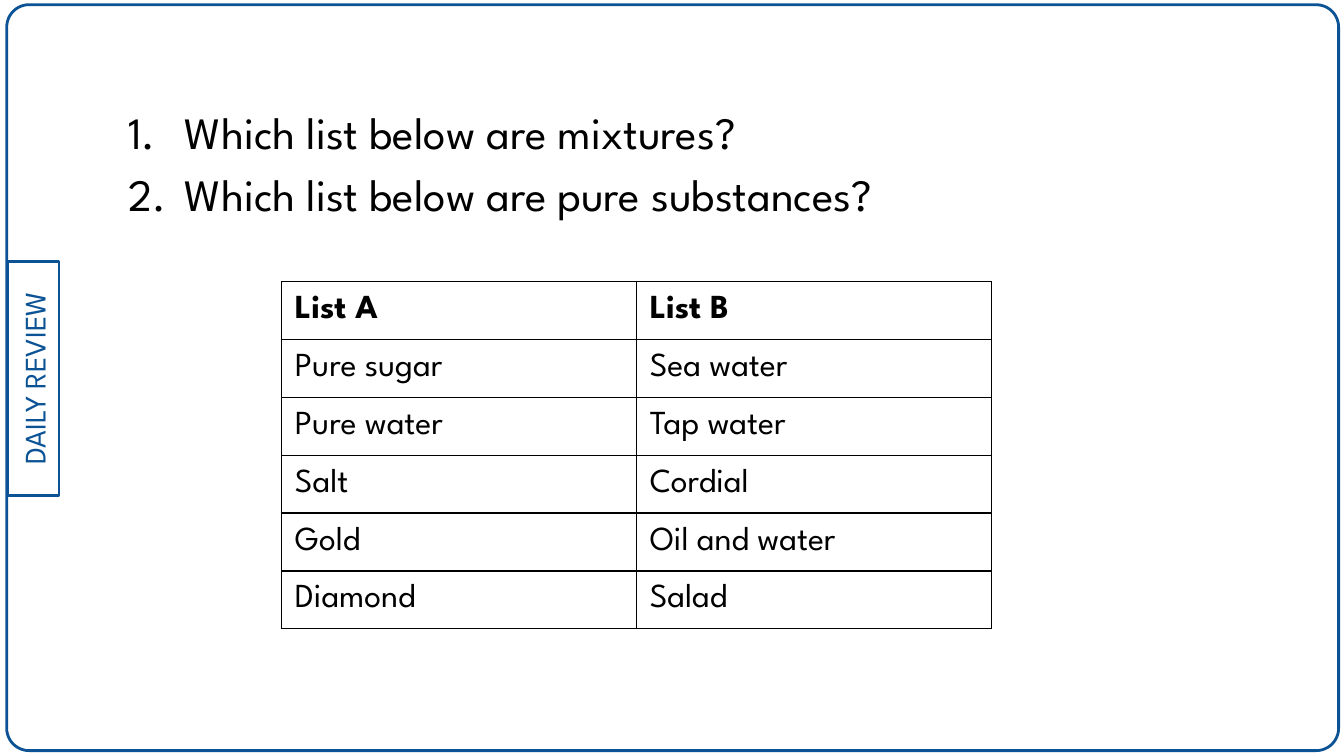
"""Build a daily review slide with two questions and a table of substances."""
from lxml import etree
from pptx import Presentation
from pptx.dml.color import RGBColor
from pptx.enum import shapes, text
from pptx.oxml import ns
from pptx.util import Pt

SCALE = 4572
BLUE, BLACK = "0B5394", "000000"


def px(n):
    return n * SCALE


def rgb(code):
    return RGBColor.from_string(code)


def node(parent, tag, **attrs):
    return etree.SubElement(parent, ns.qn(tag), attrs)


def write(para, words, size=18, color=BLACK, bold=False, align=None, gap=None):
    para.text = words
    para.alignment = align
    para.line_spacing = gap
    font = para.font
    font.name, font.size, font.bold = "League Spartan", Pt(size), bold
    font.color.rgb = rgb(color)


def pad(frame):
    frame.margin_left = frame.margin_right = px(20)
    frame.margin_top = frame.margin_bottom = px(20)


class Deck:
    def __init__(self, wide, high):
        self.prs = Presentation()
        self.prs.slide_width, self.prs.slide_height = px(wide), px(high)
        self.slide = self.prs.slides.add_slide(self.prs.slide_layouts[1])
        title = self.slide.shapes.title.element
        title.getparent().remove(title)

    def box(self, kind, *at):
        shape = self.slide.shapes.add_shape(kind, *map(px, at))
        shape.shadow.inherit = False
        shape.fill.background()
        shape.line.color.rgb = rgb(BLUE)
        shape.line.width = Pt(1.5)
        return shape

    def frame(self, *at):
        shape = self.box(shapes.MSO_SHAPE.ROUNDED_RECTANGLE, *at)
        shape.adjustments[0] = 0.03

    def tab(self, words, *at):
        shape = self.box(shapes.MSO_SHAPE.RECTANGLE, *at)
        shape.rotation = 270
        frame = shape.text_frame
        pad(frame)
        frame.vertical_anchor = text.MSO_ANCHOR.MIDDLE
        write(frame.paragraphs[0], words, size=16, color=BLUE, align=text.PP_ALIGN.CENTER)

    def quiz(self, items, *at):
        body = self.slide.placeholders[1]
        body.left, body.top, body.width, body.height = map(px, at)
        frame = body.text_frame
        pad(frame)
        frame.word_wrap = True
        frame.auto_size = text.MSO_AUTO_SIZE.NONE
        frame.vertical_anchor = text.MSO_ANCHOR.TOP
        for i, item in enumerate(items):
            para = frame.paragraphs[0] if i == 0 else frame.add_paragraph()
            para.space_before = Pt(0)
            props = para._p.get_or_add_pPr()
            props.set("marL", str(px(100)))
            props.set("indent", str(px(-84)))
            node(node(props, "a:buClr"), "a:srgbClr", val=BLACK)
            node(props, "a:buFont", typeface="League Spartan")
            node(props, "a:buAutoNum", type="arabicPeriod")
            write(para, item, size=24, gap=1.15)

    def grid(self, rows, left, top, wide, high):
        size = len(rows), len(rows[0])
        table = self.slide.shapes.add_table(
            *size, px(left), px(top), px(wide * size[1]), px(high * size[0])).table
        table.first_row = table.horz_banding = False
        for col in table.columns:
            col.width = px(wide)
        for r, row in enumerate(rows):
            table.rows[r].height = px(high)
            for c, words in enumerate(row):
                self.cell(table.cell(r, c), words, r == 0)

    def cell(self, cell, words, bold):
        pad(cell)
        write(cell.text_frame.paragraphs[0], words, bold=bold)
        props = cell._tc.get_or_add_tcPr()
        for side in ("a:lnL", "a:lnR", "a:lnT", "a:lnB"):
            line = node(props, side, w=str(Pt(0.75)))
            node(node(line, "a:solidFill"), "a:srgbClr", val=BLACK)
        cell.fill.background()


def main():
    deck = Deck(2000, 1125)
    deck.frame(10, 7, 1982, 1110)
    deck.tab("DAILY REVIEW", -124, 525, 348, 76)
    deck.quiz(["Which list below are mixtures?",
               "Which list below are pure substances?"], 155, 124, 1582, 270)
    deck.grid([("List A", "List B"), ("Pure sugar", "Sea water"),
               ("Pure water", "Tap water"), ("Salt", "Cordial"),
               ("Gold", "Oil and water"), ("Diamond", "Salad")], 419, 419, 528, 84)
    deck.prs.save("out.pptx")


if __name__ == "__main__":
    main()
